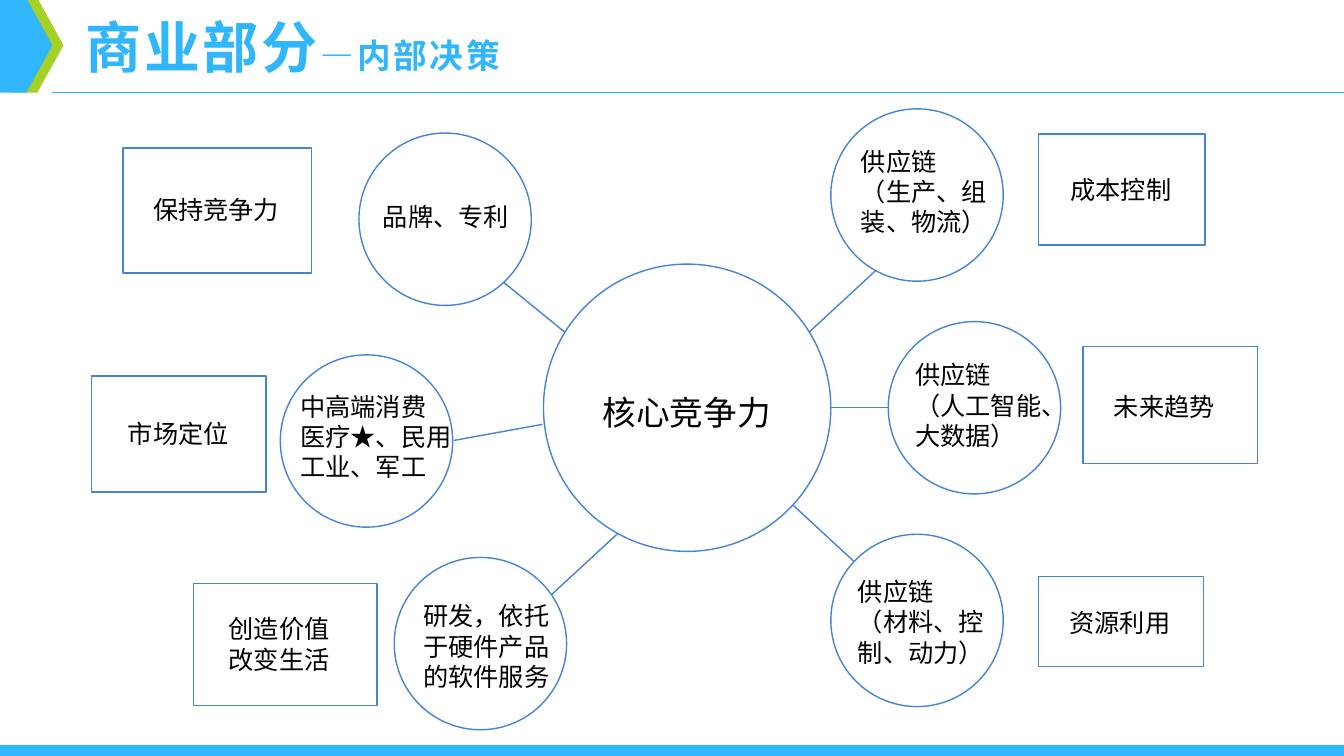
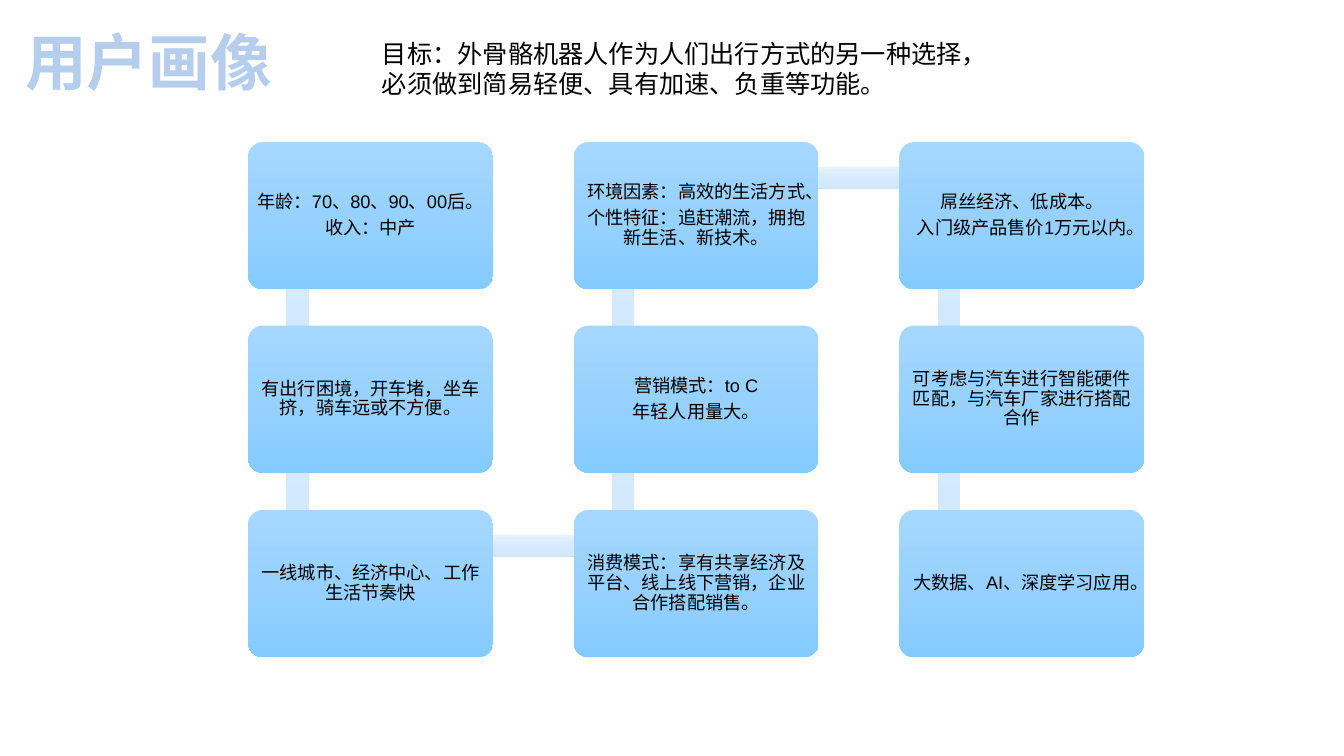
from lxml import etree
from pptx import Presentation
from pptx import util as u
from pptx.dml.color import RGBColor
from pptx.enum import lang, shapes, text
from pptx.oxml.ns import qn

PX = 9144  # one px is a hundredth of an inch
W, H = 1333, 750
BLUE, GREEN, OUTLINE, PALE = "31B6FD", "A5D028", "4584D3", "B5CEED"
BLACK, WHITE = "000000", "FFFFFF"
CARD_FILL = ("A6D8FF", "97D1FF", "84CBFF")
LINK_FILL = ("E5F2FF", "D5EAFF", "CFE7FF")
LATIN, CJK = "Arial", "Noto Sans CJK SC"
SHAPE = shapes.MSO_SHAPE
CENTER = text.PP_ALIGN.CENTER

TITLE = dict(size=40, bold=True, color=BLUE)
LABEL = dict(size=18, name=CJK)
CARD_TEXT = dict(size=13)
CARD_PARA = dict(alignment=CENTER, line_spacing=0.9, space_after=u.Pt(4.5))

# Slide 1: each spoke, circle corner, circle label, label box (left, top, width)
DIAMETER = 171
NODES = [
    ((803, 329, 869, 268), (824, 108), ["供应链\n（生产、组装、物流）"], (844, 140, 160)),
    ((781, 404, 881, 404), (881, 319), ["供应链\n（人工智能、大数据）"], (898, 352, 160)),
    ((781, 496, 847, 557), (824, 530), ["供应链\n（材料、控制、动力）"], (841, 567, 160)),
    ((562, 331, 492, 274), (356, 132), ["品牌、专利"], (370, 195, 160)),
    ((450, 437, 538, 421), (278, 352),
     ["中高端消费", "医疗★、民用", "工业、军工"], (288, 383, 173)),
    ((547, 590, 613, 529), (391, 553), ["研发，依托于硬件产品的软件服务"], (410, 591, 160)),
]
# Each outcome frame, its label and the label corner
OUTCOMES = [
    ((1030, 133, 165, 110), "成本控制", (1052, 168)),
    ((1074, 344, 173, 116), "未来趋势", (1095, 383)),
    ((1030, 572, 164, 89), "资源利用", (1051, 598)),
    ((122, 147, 187, 124), "保持竞争力", (142, 188)),
    ((91, 373, 173, 115), "市场定位", (117, 410)),
    ((192, 579, 182, 121), "创造价值\n改变生活", (217, 604)),
]

# Slide 2: cards in reading order of the snake, three to a column
CARD_W, CARD_H = 243, 146
CARDS = [
    ["年龄：70、80、90、00后。", "收入：中产"],
    ["有出行困境，开车堵，坐车挤，骑车远或不方便。"],
    ["一线城市、经济中心、工作生活节奏快"],
    ["消费模式：享有共享经济及平台、线上线下营销，企业合作搭配销售。"],
    ["营销模式：to C", "年轻人用量大。"],
    ["环境因素：高效的生活方式、", "个性特征：追赶潮流，拥抱新生活、新技术。"],
    ["屌丝经济、低成本。", "入门级产品售价1万元以内。"],
    ["可考虑与汽车进行智能硬件匹配，与汽车厂家进行搭配合作"],
    ["大数据、AI、深度学习应用。"],
]


def px(*lengths):
    return [u.Emu(n * PX) for n in lengths]


def rgb(value):
    return RGBColor.from_string(value)


def style_run(r, size, name=LATIN, color=BLACK, bold=False, spacing=0):
    values = dict(size=u.Pt(size), name=name, bold=bold,
                  language_id=lang.MSO_LANGUAGE_ID.SIMPLIFIED_CHINESE)
    for key, value in values.items():
        setattr(r.font, key, value)
    r.font.color.rgb = rgb(color)
    rpr = r._r.get_or_add_rPr()
    etree.SubElement(rpr, qn("a:ea")).set("typeface", CJK)
    if spacing:
        rpr.set("spc", str(spacing * 100))


def write(tf, paragraphs, fmt, para_fmt=None):
    """Fill a frame; a paragraph is a string or a list of (text, overrides)."""
    for i, content in enumerate(paragraphs):
        p = tf.paragraphs[0] if i == 0 else tf.add_paragraph()
        for key, value in (para_fmt or {}).items():
            setattr(p, key, value)
        parts = [(content, {})] if isinstance(content, str) else content
        for part, overrides in parts:
            for n, line in enumerate(part.split("\n")):
                if n:
                    p.add_line_break()
                r = p.add_run()
                r.text = line
                style_run(r, **{**fmt, **overrides})


def add_text(s, box, paragraphs, fmt, para_fmt=None, wrap=True):
    tf = s.shapes.add_textbox(*px(*box)).text_frame
    tf.word_wrap = wrap
    tf.auto_size = text.MSO_AUTO_SIZE.SHAPE_TO_FIT_TEXT
    write(tf, paragraphs, fmt, para_fmt)


def add_shape(s, kind, box, fill=WHITE, line=None):
    sp = s.shapes.add_shape(kind, *px(*box))
    sp.shadow.inherit = False
    if isinstance(fill, tuple):
        set_gradient(sp, fill)
    else:
        sp.fill.solid()
        sp.fill.fore_color.rgb = rgb(fill)
    if line:
        sp.line.color.rgb = rgb(line)
        sp.line.width = u.Pt(1)
    else:
        sp.line.fill.background()
    return sp


def set_gradient(sp, colors):
    """Evenly spaced stops running from top to bottom."""
    sp.fill.gradient()
    sp.fill.gradient_angle = 270
    stops = sp._element.spPr.find(qn("a:gradFill")).find(qn("a:gsLst"))
    for stop in list(stops):
        stops.remove(stop)
    for i, color in enumerate(colors):
        stop = etree.SubElement(stops, qn("a:gs"))
        stop.set("pos", str(100000 * i // (len(colors) - 1)))
        etree.SubElement(stop, qn("a:srgbClr")).set("val", color)


def add_line(s, ends, color, width):
    line = s.shapes.add_connector(shapes.MSO_CONNECTOR.STRAIGHT, *px(*ends))
    line.line.color.rgb = rgb(color)
    line.line.width = u.Pt(width)
    etree.SubElement(line._element.spPr, qn("a:effectLst"))


def add_title(s, box, runs, para_fmt=None, **overrides):
    add_text(s, box, [runs], {**TITLE, **overrides}, para_fmt, wrap=False)


def add_bands(s):
    for left, color in ((11, GREEN), (0, BLUE)):
        add_shape(s, SHAPE.PENTAGON, (left, -2, 52, 94), color)
    add_line(s, (52, 92, W, 92), BLUE, 0.5)
    add_shape(s, SHAPE.RECTANGLE, (0, 739, W, 11), BLUE)


def decision_slide(s):
    add_bands(s)
    add_title(s, (75, 8, 438, 77),
              [("商业部分", {}), ("—内部决策", dict(size=24))], spacing=2)
    # Spokes lie behind the hub and the circles
    for spoke, *_ in NODES:
        add_line(s, spoke, OUTLINE, 1)
    add_shape(s, SHAPE.OVAL, (539, 262, 285, 285), line=OUTLINE)
    add_text(s, (588, 384, 191, 50), ["核心竞争力"], dict(size=24))
    for _, corner, label, (left, top, width) in NODES:
        add_shape(s, SHAPE.OVAL, (*corner, DIAMETER, DIAMETER), line=OUTLINE)
        add_text(s, (left, top, width, 101), label, LABEL)
    for frame, label, corner in OUTCOMES:
        add_shape(s, SHAPE.RECTANGLE, frame, line=OUTLINE)
        add_text(s, (*corner, 160, 40), [label], LABEL)


def card_corner(i):
    """Columns run down, up, down."""
    col, row = divmod(i, 3)
    if col % 2:
        row = 2 - row
    return 246 + 323 * col, 141 + 365 * row // 2


def add_link(s, start, end):
    (x1, y1), (x2, y2) = start, end
    if x1 == x2:
        box = (x1 + 38, min(y1, y2) + 37, 22, 181)
    else:
        box = (x1 + 49, y1 + 25, 322, 22)
    add_shape(s, SHAPE.RECTANGLE, box, LINK_FILL)


def add_card(s, corner, paragraphs):
    sp = add_shape(s, SHAPE.ROUNDED_RECTANGLE, (*corner, CARD_W, CARD_H), CARD_FILL)
    sp.adjustments[0] = 0.1
    tf = sp.text_frame
    tf.word_wrap = True
    tf.vertical_anchor = text.MSO_ANCHOR.MIDDLE
    for side in ("left", "top", "right", "bottom"):
        setattr(tf, f"margin_{side}", u.Emu(5 * PX))
    write(tf, paragraphs, CARD_TEXT, CARD_PARA)


def persona_slide(s):
    corners = [card_corner(i) for i in range(len(CARDS))]
    # Links lie behind the cards
    for start, end in zip(corners, corners[1:]):
        add_link(s, start, end)
    for corner, paragraphs in zip(corners, CARDS):
        add_card(s, corner, paragraphs)
    add_text(s, (369, 33, 642, 71),
             ["目标：外骨骼机器人作为人们出行方式的另一种选择，",
              "必须做到简易轻便、具有加速、负重等功能。"], dict(size=18))
    add_title(s, (14, 19, 267, 84), [("用户画像", {})],
              dict(alignment=CENTER), size=44, color=PALE)


def main():
    prs = Presentation()
    prs.slide_width, prs.slide_height = px(W, H)
    for build in (decision_slide, persona_slide):
        build(prs.slides.add_slide(prs.slide_layouts[6]))
    prs.save("out.pptx")


if __name__ == "__main__":
    main()
